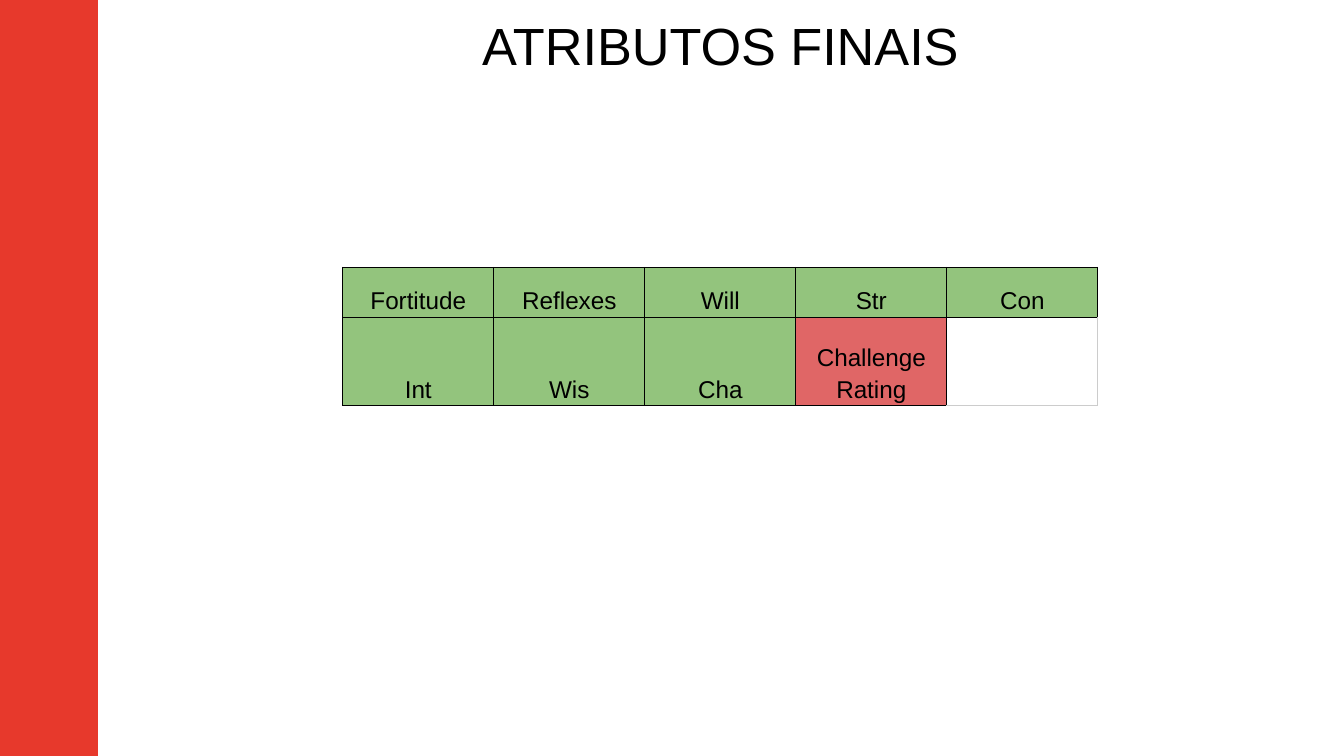
from pptx import Presentation
from pptx import util as u
from pptx.dml.color import RGBColor
from pptx.enum import shapes, text
from pptx.oxml import parse_xml
from pptx.oxml.ns import nsdecls

RED = RGBColor(0xE7, 0x39, 0x2C)
GREEN = RGBColor(0x93, 0xC4, 0x7D)
ROSE = RGBColor(0xE0, 0x66, 0x66)
GRAY = RGBColor(0xCC, 0xCC, 0xCC)
WHITE = RGBColor(0xFF, 0xFF, 0xFF)
BLACK = RGBColor(0, 0, 0)

WIDE = 10
HIGH = WIDE * 9 / 16
ROWS = [
    ["Fortitude", "Reflexes", "Will", "Str", "Con"],
    ["Int", "Wis", "Cha", "Challenge Rating", ""],
]
FILLS = {"Challenge Rating": ROSE, "": WHITE}


class Deck:
    face = "Arial"

    def __init__(self, prs):
        self.slide = prs.slides.add_slide(prs.slide_layouts[5])

    def style(self, frame, size):
        for para in frame.paragraphs:
            para.alignment = text.PP_ALIGN.CENTER
            for run in para.runs:
                run.font.name = self.face
                run.font.size = u.Pt(size)
                run.font.color.rgb = BLACK

    def bar(self, x, y, w, h, color):
        box = self.slide.shapes.add_shape(
            shapes.MSO_SHAPE.RECTANGLE, *map(u.Inches, (x, y, w, h)))
        box.shadow.inherit = False
        box.fill.solid()
        box.fill.fore_color.rgb = color
        box.line.fill.background()

    def title(self, words, x, y, w, h):
        box = self.slide.shapes.title
        box.left, box.top, box.width, box.height = map(u.Inches, (x, y, w, h))
        frame = box.text_frame
        frame.text = words
        frame.auto_size = text.MSO_AUTO_SIZE.NONE
        frame.vertical_anchor = text.MSO_ANCHOR.TOP
        frame.margin_left = frame.margin_right = u.Inches(0.1)
        frame.margin_top = frame.margin_bottom = u.Inches(0.1)
        self.style(frame, 28)

    def edge(self, cell, side, color):
        cell._tc.get_or_add_tcPr().append(parse_xml(
            f'<a:ln{side} {nsdecls("a")} w="{u.Pt(0.75)}"><a:solidFill>'
            f'<a:srgbClr val="{color}"/></a:solidFill></a:ln{side}>'))

    def cell(self, cell, words):
        cell.text = words
        cell.vertical_anchor = text.MSO_ANCHOR.BOTTOM
        cell.margin_left = cell.margin_right = u.Inches(0.03)
        cell.margin_top = cell.margin_bottom = u.Inches(0.02)
        for side in "LRTB":
            pale = not words and side in "RB"
            self.edge(cell, side, GRAY if pale else BLACK)
        cell.fill.solid()
        cell.fill.fore_color.rgb = FILLS.get(words, GREEN)
        cell.text_frame.paragraphs[0].line_spacing = 1.15
        self.style(cell.text_frame, 13)

    def table(self, rows, x, y, wide, highs):
        cols = len(rows[0])
        grid = self.slide.shapes.add_table(
            len(rows), cols, u.Inches(x), u.Inches(y),
            u.Inches(wide), u.Inches(sum(highs))).table
        grid.first_row = grid.horz_banding = False
        for r, (row, high) in enumerate(zip(rows, highs)):
            grid.rows[r].height = u.Inches(high)
            for c, words in enumerate(row):
                self.cell(grid.cell(r, c), words)


def main():
    prs = Presentation()
    prs.slide_width = u.Inches(WIDE)
    prs.slide_height = u.Inches(HIGH)
    deck = Deck(prs)
    deck.bar(0, 0, 0.73, HIGH, RED)
    deck.title("ATRIBUTOS FINAIS", 0.7, 0, 9.32, 0.63)
    deck.table(ROWS, 2.55, 1.99, 5.62, [0.37, 0.66])
    prs.save("out.pptx")


if __name__ == "__main__":
    main()
